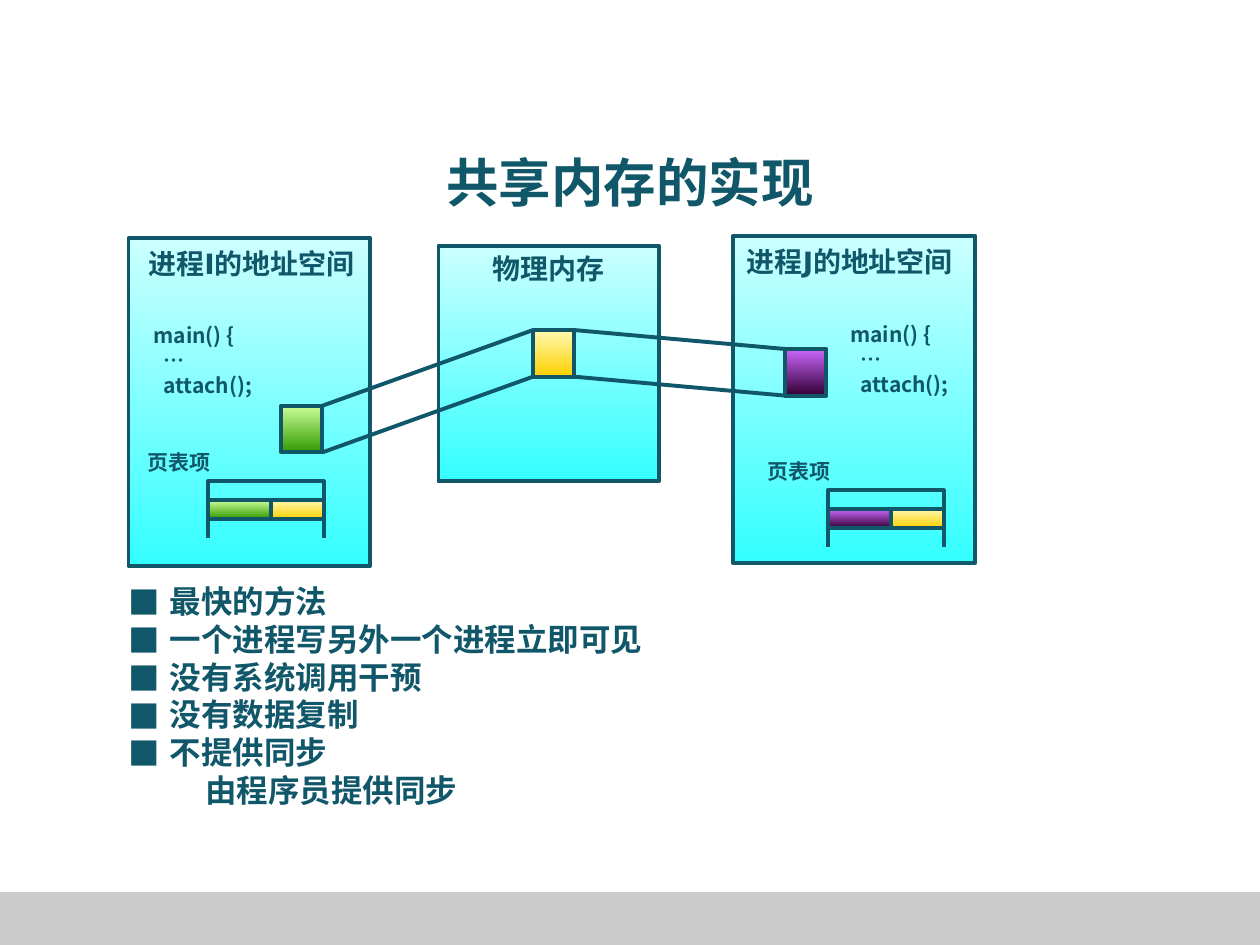
from dataclasses import dataclass

from lxml import etree
from pptx import Presentation
from pptx.dml.color import RGBColor
from pptx.enum.shapes import MSO_CONNECTOR, MSO_SHAPE
from pptx.enum.text import MSO_ANCHOR, PP_ALIGN
from pptx.oxml.ns import qn
from pptx.util import Inches, Pt

RECTANGLE = MSO_SHAPE.RECTANGLE
STRAIGHT = MSO_CONNECTOR.STRAIGHT
MIDDLE = MSO_ANCHOR.MIDDLE
CENTER = PP_ALIGN.CENTER

COLUMNS, ROWS = 100, 75
SLIDE_WIDTH, SLIDE_HEIGHT = Inches(10), Inches(7.5)
CELL = SLIDE_WIDTH // COLUMNS

COLORS = {"ink": "11576A", "footer": "CCCCCC"}
GRADIENTS = {
    "panel": ("CCFFFF", "33FFFF"),
    "yellow": ("FFF9B1", "FDD000"),
    "green": ("CCFF99", "339900"),
    "purple": ("CC66FF", "330033"),
}
CJK_FONT, HEADING_FONT = "Noto Sans CJK SC", "DejaVu Sans"
LINE_WIDTH = Pt(2.25)
LINE_RATIO = 1.2
BLOCK_SIZE = (3.3, 3.7)


@dataclass
class Box:
    left: float
    top: float
    width: float
    height: float

    def inner(self, column, row, width, height):
        return Box(self.left + column, self.top + row, width, height)

    def emu(self):
        return [grid(value) for value in (self.left, self.top, self.width, self.height)]


def grid(units):
    return round(units * CELL)


def color(name):
    return RGBColor.from_string(COLORS[name])


def outline(shape):
    shape.line.color.rgb = color("ink")
    shape.line.width = LINE_WIDTH


def add_rectangle(slide, box, gradient):
    shape = slide.shapes.add_shape(RECTANGLE, *box.emu())
    shape.shadow.inherit = False
    shape.fill.gradient()
    shape.fill.gradient_angle = 270
    for stop, value in zip(shape.fill.gradient_stops, GRADIENTS[gradient]):
        stop.color.rgb = RGBColor.from_string(value)
    outline(shape)
    return shape


def add_text(slide, box, text, size, font=CJK_FONT, wrap=True, exact=True):
    shape = slide.shapes.add_textbox(*box.emu())
    text_frame = shape.text_frame
    text_frame.word_wrap = wrap
    text_frame.text = text
    for paragraph in text_frame.paragraphs:
        if exact:
            paragraph.line_spacing = Pt(size * LINE_RATIO)
        for run in paragraph.runs:
            run.font.size = Pt(size)
            run.font.bold = True
            run.font.name = font
            run.font.color.rgb = color("ink")
            east_asian = etree.SubElement(run.font._element, qn("a:ea"))
            east_asian.set("typeface", CJK_FONT)
    return text_frame


def indent(paragraph, margin, hanging=0):
    properties = paragraph._p.get_or_add_pPr()
    properties.set("marL", str(grid(margin)))
    properties.set("indent", str(-grid(hanging)))
    return properties


def add_line(slide, start, end):
    connector = slide.shapes.add_connector(STRAIGHT, *map(grid, start + end))
    outline(connector)
    etree.SubElement(connector._element.spPr, qn("a:effectLst"))


def draw_footer(slide, box):
    shape = slide.shapes.add_shape(RECTANGLE, *box.emu())
    shape.shadow.inherit = False
    shape.fill.solid()
    shape.fill.fore_color.rgb = color("footer")
    shape.line.fill.background()


def draw_title(slide, box):
    text_frame = add_text(slide, box, "共享内存的实现", 30, exact=False)
    text_frame.vertical_anchor = MIDDLE
    text_frame.paragraphs[0].alignment = CENTER


def draw_page_table(slide, box, gradient):
    left, top, width, height = box.emu()
    builder = slide.shapes.build_freeform(left, top + height)
    builder.add_line_segments(
        [(left, top), (left + width, top), (left + width, top + height)], close=False
    )
    frame = builder.convert_to_shape()
    frame.shadow.inherit = False
    frame.fill.background()
    outline(frame)
    split = 5
    add_rectangle(slide, box.inner(0, 1.5, split, 1.5), gradient)
    add_rectangle(slide, box.inner(split, 1.5, box.width - split, 1.5), "yellow")
    add_text(slide, box.inner(-5.8, -3, 7.1, 3), "页表项", 12, wrap=False)


def draw_process(slide, box, name, gradient, heading, code, block, table):
    add_rectangle(slide, box, "panel")
    add_text(slide, box.inner(*heading, 19.1, 3.7), f"进程{name}的地址空间", 16, HEADING_FONT)
    listing = add_text(
        slide, box.inner(*code, 10.1, 7.1), "main() {\n…\nattach();", 12, wrap=False
    )
    for paragraph in listing.paragraphs[1:]:
        indent(paragraph, 0.8)
    block_box = box.inner(*block, *BLOCK_SIZE)
    add_rectangle(slide, block_box, gradient)
    draw_page_table(slide, box.inner(*table, 9.2, 4.5), gradient)
    return block_box


def draw_memory(slide, box):
    add_rectangle(slide, box, "panel")
    text_frame = add_text(slide, box.inner(0, 0, box.width, 3.7), "物理内存", 16, HEADING_FONT)
    text_frame.paragraphs[0].alignment = CENTER
    block_box = box.inner(7.5, 6.7, *BLOCK_SIZE)
    add_rectangle(slide, block_box, "yellow")
    return block_box


def draw_mapping(slide, source, target):
    for edge in (0, BLOCK_SIZE[1]):
        add_line(
            slide,
            (source.left + source.width, source.top + edge),
            (target.left, target.top + edge),
        )


def draw_features(slide, box):
    features = ["最快的方法", "一个进程写另外一个进程立即可见", "没有系统调用干预",
                "没有数据复制", "不提供同步", "由程序员提供同步"]
    text_frame = add_text(slide, box, "\n".join(features), 18)
    *bulleted, detail = text_frame.paragraphs
    for paragraph in bulleted:
        properties = indent(paragraph, 3.3, 3.3)
        bullet_font = etree.SubElement(properties, qn("a:buFont"))
        bullet_font.set("typeface", "Noto Sans CJK JP")
        etree.SubElement(properties, qn("a:buChar")).set("char", "■")
    indent(detail, 6.1)


def main():
    presentation = Presentation()
    presentation.slide_width, presentation.slide_height = SLIDE_WIDTH, SLIDE_HEIGHT
    slide = presentation.slides.add_slide(presentation.slide_layouts[6])

    draw_footer(slide, Box(0, 70.8, COLUMNS, ROWS - 70.8))
    draw_title(slide, Box(5, 11.6, 90, 5.6))
    draw_features(slide, Box(9.2, 45.7, 44, 18.5))
    shared = draw_memory(slide, Box(34.8, 19.5, 17.5, 18.7))
    first = draw_process(
        slide, Box(10.2, 18.9, 19.2, 26), "I", "green",
        heading=(0.6, 0.2), code=(1, 6.2), block=(12.1, 13.3), table=(6.3, 19.3),
    )
    second = draw_process(
        slide, Box(58.2, 18.7, 19.2, 26), "J", "purple",
        heading=(0.1, 0.2), code=(8.3, 6.3), block=(4.1, 9), table=(7.5, 20.2),
    )
    draw_mapping(slide, first, shared)
    draw_mapping(slide, shared, second)
    presentation.save("out.pptx")


if __name__ == "__main__":
    main()
